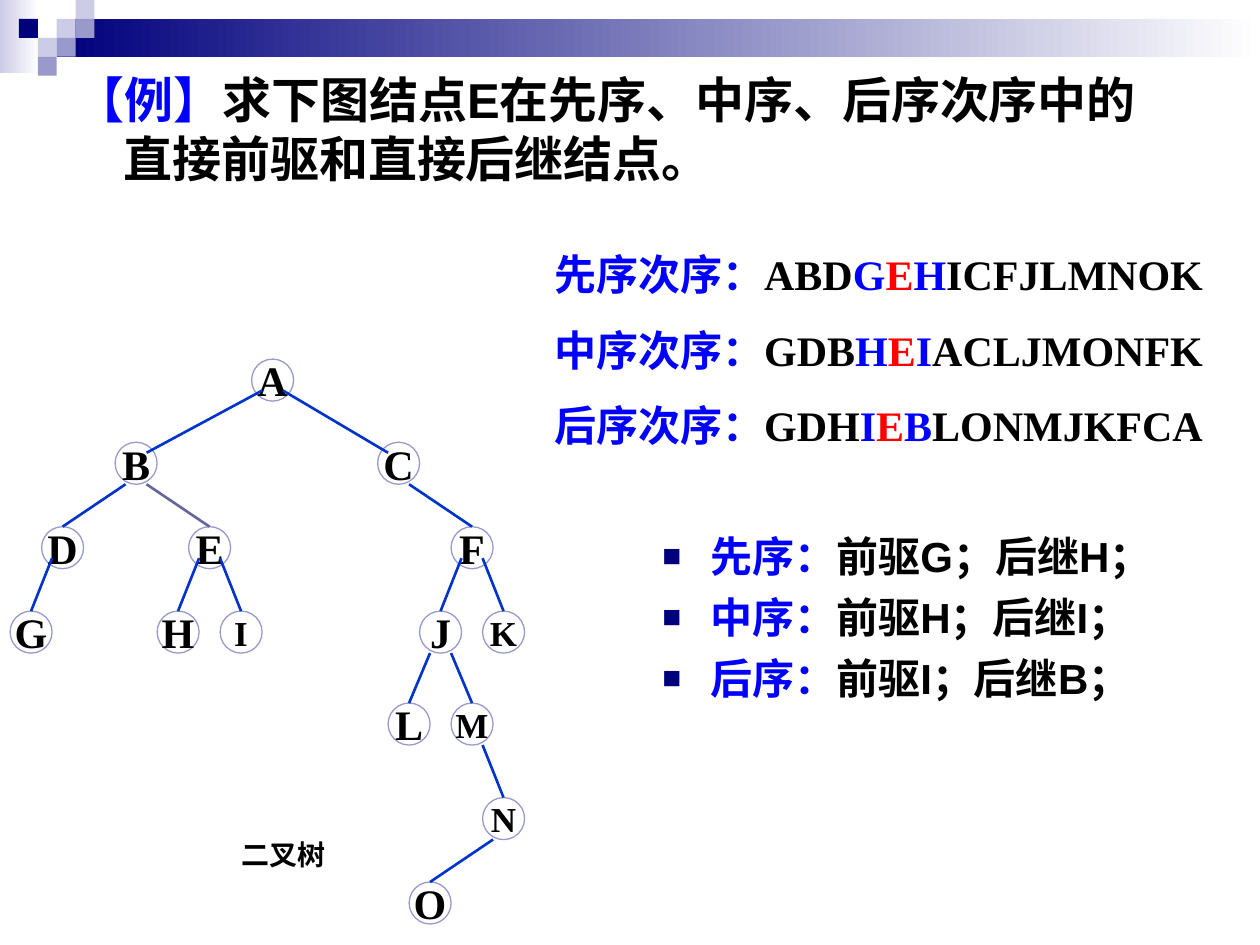
from lxml import etree
from pptx import Presentation
from pptx.dml.color import RGBColor
from pptx.enum.shapes import MSO_CONNECTOR, MSO_SHAPE
from pptx.enum.text import MSO_ANCHOR, MSO_AUTO_SIZE, PP_ALIGN
from pptx.oxml.ns import qn
from pptx.util import Inches, Pt

RECT, OVAL = MSO_SHAPE.RECTANGLE, MSO_SHAPE.OVAL
STRAIGHT = MSO_CONNECTOR.STRAIGHT
LEFT, CENTER = PP_ALIGN.LEFT, PP_ALIGN.CENTER
TOP, MIDDLE = MSO_ANCHOR.TOP, MSO_ANCHOR.MIDDLE
FIT_SHAPE, NO_FIT = MSO_AUTO_SIZE.SHAPE_TO_FIT_TEXT, MSO_AUTO_SIZE.NONE

COLORS = {
    "black": "000000", "white": "FFFFFF", "blue": "0000FF", "red": "FF0000",
    "navy": "00007D", "pale": "CCCCE6", "lilac": "9999CC",
    "edge": "0033CC", "slate": "666699",
}
SERIF, SANS = "Times New Roman", "Arial"
HANGING = 0.38

UNIT = 1 / 12       # the tree is laid out on a grid of twelfths of an inch
NODE_SIZE = 4 * UNIT
LEVELS = [0, 0.66, 1.33, 2, 2.73, 3.48, 4.15]
# letter: (level, left edge in grid units, text size)
NODES = {
    "A": (0, 23, 24), "B": (1, 10, 24), "C": (1, 35, 24),
    "D": (2, 3, 24), "E": (2, 17, 24), "F": (2, 42, 24),
    "G": (3, 0, 24), "H": (3, 14, 24), "I": (3, 20, 20),
    "J": (3, 39, 24), "K": (3, 45, 20), "L": (4, 36, 24),
    "M": (4, 42, 20), "N": (5, 45, 20), "O": (6, 38, 24),
}
EDGES = ["AB", "AC", "BD", "BE", "CF", "DG", "EH", "EI", "FJ", "FK",
         "JL", "JM", "MN", "NO"]
INNER_STARTS = "ADEF"   # parents whose edges start inside the circle


def rgb(name):
    return RGBColor.from_string(COLORS[name])


def write(frame, paragraphs, *, size, font=SERIF, align=LEFT, anchor=TOP,
          wrap=True, fit=NO_FIT, hanging=0, bullet=None, before=0):
    """Fill a frame with paragraphs, each a list of (text, colour) runs."""
    frame.word_wrap = wrap
    frame.auto_size = fit
    frame.vertical_anchor = anchor
    for index, runs in enumerate(paragraphs):
        para = frame.paragraphs[0] if index == 0 else frame.add_paragraph()
        para.alignment = align
        if index:
            para.space_before = Pt(before)
        props = para._p.get_or_add_pPr()
        if hanging:
            props.set("marL", str(Inches(hanging)))
            props.set("indent", str(Inches(-hanging)))
        if bullet:
            color = etree.SubElement(props, qn("a:buClr"))
            etree.SubElement(color, qn("a:srgbClr"), val=COLORS["navy"])
            etree.SubElement(props, qn("a:buSzPct"), val="75000")
            etree.SubElement(props, qn("a:buFont"), typeface=SANS)
            etree.SubElement(props, qn("a:buChar"), char=bullet)
        for text, color_name in runs:
            run = para.add_run()
            run.text = text
            run.font.name, run.font.size, run.font.bold = font, Pt(size), True
            run.font.color.rgb = rgb(color_name)


def add_text(slide, box, paragraphs, **style):
    textbox = slide.shapes.add_textbox(*map(Inches, box))
    write(textbox.text_frame, paragraphs, fit=FIT_SHAPE, **style)


def add_block(slide, box, start, end=None):
    """Rectangle in one colour, or fading from start to end."""
    block = slide.shapes.add_shape(RECT, *map(Inches, box))
    block.shadow.inherit = False
    block.line.fill.background()
    if end:
        block.fill.gradient()
        block.fill.gradient_angle = 0
        for stop, name in zip(block.fill.gradient_stops, (start, end)):
            stop.color.rgb = rgb(name)
    else:
        block.fill.solid()
        block.fill.fore_color.rgb = rgb(start)


def add_banner(slide, left, top, width):
    cell = 0.15
    add_block(slide, (left, top, 0.31, 0.58), "pale", "white")
    add_block(slide, (left + 3 * cell, top + cell, width - 3 * cell, 0.3),
              "navy", "white")
    for column, row, name in [(3, 1, "pale"), (4, 0, "pale"), (4, 1, "lilac"),
                              (2, 2, "pale"), (1, 1, "navy"), (3, 2, "lilac"),
                              (2, 3, "lilac")]:
        add_block(slide, (left + column * cell, top + row * cell, cell, cell), name)


def add_question(slide, box):
    title = slide.shapes.title
    title.left, title.top, title.width, title.height = map(Inches, box)
    write(title.text_frame,
          [[("【例】", "blue"),
            ("求下图结点E在先序、中序、后序次序中的直接前驱和直接后继结点。", "black")]],
          size=28, font=SANS, hanging=HANGING)


def add_tree(slide, left, top):
    def corner(letter):
        level, column, _ = NODES[letter]
        return left + column * UNIT, top + LEVELS[level]

    # Nodes
    circles = {}
    for letter, (_, _, size) in NODES.items():
        x, y = corner(letter)
        circle = slide.shapes.add_shape(
            OVAL, *map(Inches, (x, y, NODE_SIZE, NODE_SIZE)))
        circle.shadow.inherit = False
        circle.fill.solid()
        circle.fill.fore_color.rgb = rgb("white")
        circle.line.color.rgb = rgb("lilac")
        circle.line.width = Pt(0.75)
        write(circle.text_frame, [[(letter, "black")]], size=size,
              align=CENTER, anchor=MIDDLE, wrap=False)
        circles[letter] = circle

    # Edges leave one unit beside the parent's centre, on the child's side
    for parent, child in EDGES:
        (px, py), (cx, cy) = corner(parent), corner(child)
        side = 1 if cx > px else -1
        drop = 3 if parent in INNER_STARTS else 4
        start = px + (2 + side) * UNIT, py + drop * UNIT
        end = cx + (2 - side) * UNIT, cy + UNIT
        edge = slide.shapes.add_connector(STRAIGHT, *map(Inches, start + end))
        if parent != "A":
            edge.end_connect(circles[child], 0)
        edge.line.color.rgb = rgb("slate" if parent + child == "BE" else "edge")
        edge.line.width = Pt(1.5)
        etree.SubElement(edge._element.spPr, qn("a:effectLst"))

    # Caption
    add_text(slide, (left + 0.88, top + 3.75, 2.58, 0.37),
             [[("二叉树", "black")]], size=16, align=CENTER)


def add_orders(slide, left, width):
    orders = [
        (1.92, "先序次序：", "ABD", "G", "H", "ICFJLMNOK"),
        (2.53, "中序次序：", "GDB", "H", "I", "ACLJMONFK"),
        (3.12, "后序次序：", "GDH", "I", "B", "LONMJKFCA"),
    ]
    for top, label, head, previous, following, tail in orders:
        add_text(slide, (left, top, width, 0.5),
                 [[(label, "blue"), (head, "black"), (previous, "blue"),
                   ("E", "red"), (following, "blue"), (tail, "black")]], size=24)


def add_answers(slide, box):
    answers = [("先序：", "G", "H"), ("中序：", "H", "I"), ("后序：", "I", "B")]
    add_text(slide, box,
             [[(label, "blue"), (f"前驱{previous}；后继{following}；", "black")]
              for label, previous, following in answers],
             size=24, font=SANS, hanging=HANGING, bullet="■", before=6)


def main():
    prs = Presentation()
    prs.slide_width, prs.slide_height = Inches(10), Inches(7.5)
    slide = prs.slides.add_slide(prs.slide_layouts[5])
    add_banner(slide, 0, 0, 10)
    add_question(slide, (0.5, 0.5, 9, 1.1))
    add_tree(slide, 0.08, 2.85)
    add_orders(slide, 4.3, 5.47)
    add_answers(slide, (5.16, 4.16, 4.57, 1.46))
    prs.save("out.pptx")


if __name__ == "__main__":
    main()
